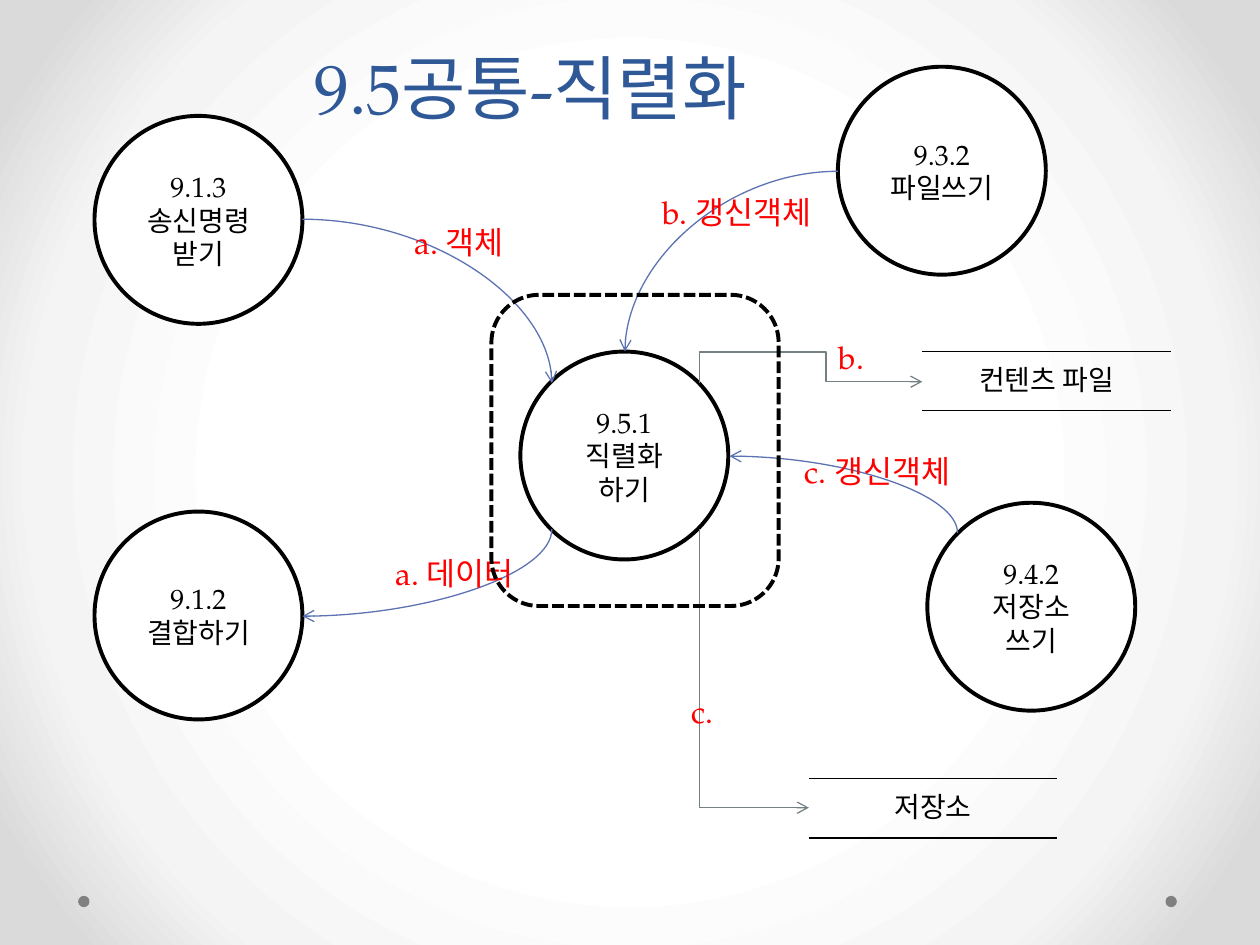
from pptx import Presentation
from pptx.dml.color import RGBColor
from pptx.enum.dml import MSO_LINE
from pptx.enum.shapes import MSO_CONNECTOR, MSO_SHAPE
from pptx.enum.text import MSO_ANCHOR, PP_ALIGN
from pptx.oxml import parse_xml
from pptx.oxml.ns import nsdecls, qn
from pptx.util import Inches, Pt
from lxml.etree import SubElement

theme = {
    "font": "TeX Gyre Pagella",
    "title": "2F5897", "ink": "000000", "label": "FF0000", "paper": "FFFFFF",
    "curve": "5C72B2", "bent": "758085", "dot": "808080",
    "head": 40, "note": 18, "body": 16,
    "back": [(0, "FFFFFF"), (50, "FFFFFF"), (76, "F4F4F4"), (92, "DADADA"), (100, "DADADA")],
}


def write(frame, lines, size, color, align=PP_ALIGN.LEFT, **form):
    for name, value in form.items():
        setattr(frame, name, value)
    for i, line in enumerate(lines):
        para = frame.paragraphs[0] if i == 0 else frame.add_paragraph()
        para.alignment = align
        run = para.add_run()
        run.text = line
        look = {"name": theme["font"], "size": Pt(theme[size]), "bold": False}
        for name, value in look.items():
            setattr(run.font, name, value)
        run.font.color.rgb = RGBColor.from_string(theme[color])


def draw(kind, box, fill=None, line=None):
    shape = slide.shapes.add_shape(kind, *map(Inches, box))
    shape.shadow.inherit = False
    if fill:
        shape.fill.solid()
        shape.fill.fore_color.rgb = RGBColor.from_string(theme[fill])
    else:
        shape.fill.background()
    if line:
        shape.line.color.rgb = RGBColor.from_string(theme[line])
        shape.line.width = Pt(2.25)
    else:
        shape.line.fill.background()
    return shape


deck = Presentation()
deck.slide_width, deck.slide_height = Inches(10), Inches(7.5)
slide = deck.slides.add_slide(deck.slide_layouts[6])

stops = "".join(
    f'<a:gs pos="{pos * 1000}"><a:srgbClr val="{color}"/></a:gs>' for pos, color in theme["back"])
slide.element.cSld.insert(0, parse_xml(
    f'<p:bg {nsdecls("p", "a")}><p:bgPr><a:gradFill rotWithShape="1"><a:gsLst>{stops}</a:gsLst>'
    '<a:path path="circle"><a:fillToRect l="50000" t="50000" r="50000" b="50000"/></a:path>'
    '</a:gradFill><a:effectLst/></p:bgPr></p:bg>'))

for left in (9.25, 0.62):
    draw(MSO_SHAPE.OVAL, (left, 7.11, 0.09, 0.09), "dot")

title = slide.shapes.add_textbox(Inches(-0.29), 0, Inches(9), Inches(1.07)).text_frame
write(title, ["9.5공통-직렬화"], "head", "title", PP_ALIGN.CENTER,
      word_wrap=True, vertical_anchor=MSO_ANCHOR.BOTTOM)
title.paragraphs[0].line_spacing = Pt(58)

size = 1.65
inset = Inches(0.04)
steps = [
    (4.13, 2.79, ["9.5.1", "직렬화", "하기"]),
    (0.75, 0.92, ["9.1.3", "송신명령", "받기"]),
    (0.75, 4.06, ["9.1.2", "결합하기"]),
    (6.65, 0.53, ["9.3.2", "파일쓰기"]),
    (7.36, 3.99, ["9.4.2", "저장소", "쓰기"]),
]
for left, top, lines in steps:
    step = draw(MSO_SHAPE.OVAL, (left, top, size, size), "paper", "ink")
    write(step.text_frame, lines, "body", "ink", PP_ALIGN.CENTER,
          word_wrap=True, vertical_anchor=MSO_ANCHOR.MIDDLE,
          margin_left=inset, margin_right=inset, margin_top=inset, margin_bottom=inset)

links = [
    ("curve", 2, (2.4, 1.74), (4.38, 3.04), False, []),
    ("curve", 2, (4.38, 4.2), (2.4, 4.89), True, []),
    ("curve", 2, (6.65, 1.36), (4.96, 2.79), False, []),
    ("bent", 4, (5.55, 3.04), (7.32, 3.03), True, [2500000, 56800]),
    ("curve", 2, (7.6, 4.23), (5.79, 3.62), True, []),
    ("bent", 2, (5.55, 4.2), (6.42, 6.41), True, []),
]
kinds = {"curve": (MSO_CONNECTOR.CURVE, "curvedConnector"),
         "bent": (MSO_CONNECTOR.ELBOW, "bentConnector")}
for style, count, (x1, y1), (x2, y2), turn, bends in links:
    if turn:
        mid_x, mid_y = (x1 + x2) / 2, (y1 + y2) / 2
        dx, dy = x1 - mid_x, y1 - mid_y
        x1, y1, x2, y2 = mid_x + dy, mid_y - dx, mid_x - dy, mid_y + dx
    kind, preset = kinds[style]
    link = slide.shapes.add_connector(kind, *map(Inches, (x1, y1, x2, y2)))
    link.line.color.rgb = RGBColor.from_string(theme[style])
    link.line.width = Pt(0.75)
    props = link.element.spPr
    if turn:
        props.find(qn("a:xfrm")).set("rot", "5400000")
    geom = props.find(qn("a:prstGeom"))
    geom.set("prst", f"{preset}{count}")
    guides = geom.find(qn("a:avLst"))
    for i, bend in enumerate(bends, 1):
        SubElement(guides, qn("a:gd"), name=f"adj{i}", fmla=f"val {bend}")
    SubElement(props.find(qn("a:ln")), qn("a:tailEnd"), type="arrow")
    SubElement(props, qn("a:effectLst"))

labels = [
    (5.16, 1.48, 1.5, "b. 갱신객체"),
    (6.29, 3.54, 1.56, "c. 갱신객체"),
    (3.19, 1.72, 1.02, "a. 객체"),
    (3.04, 4.35, 1.33, "a. 데이터"),
    (6.56, 2.63, 1.02, "b."),
    (5.39, 5.44, 1.02, "c."),
]
for left, top, width, text in labels:
    label = slide.shapes.add_textbox(*map(Inches, (left, top, width, 0.4)))
    write(label.text_frame, [text], "note", "label", word_wrap=True)

scope = draw(MSO_SHAPE.ROUNDED_RECTANGLE, (3.9, 2.34, 2.28, 2.47), line="ink")
scope.line.dash_style = MSO_LINE.SQUARE_DOT

for left, top, text in ((7.32, 2.79, "컨텐츠 파일"), (6.42, 6.18, "저장소")):
    store = slide.shapes.add_table(1, 1, *map(Inches, (left, top, 1.97, 0.47))).table
    store.first_row = store.horz_banding = False
    cell = store.cell(0, 0)
    write(cell.text_frame, [text], "body", "ink", PP_ALIGN.CENTER)
    props = cell._tc.get_or_add_tcPr()
    for side in "LRTB":
        edge = SubElement(props, qn(f"a:ln{side}"), w=str(Pt(1)))
        if side in "TB":
            SubElement(SubElement(edge, qn("a:solidFill")), qn("a:srgbClr"), val=theme["ink"])
        else:
            SubElement(edge, qn("a:noFill"))
    cell.fill.background()

deck.save("out.pptx")
